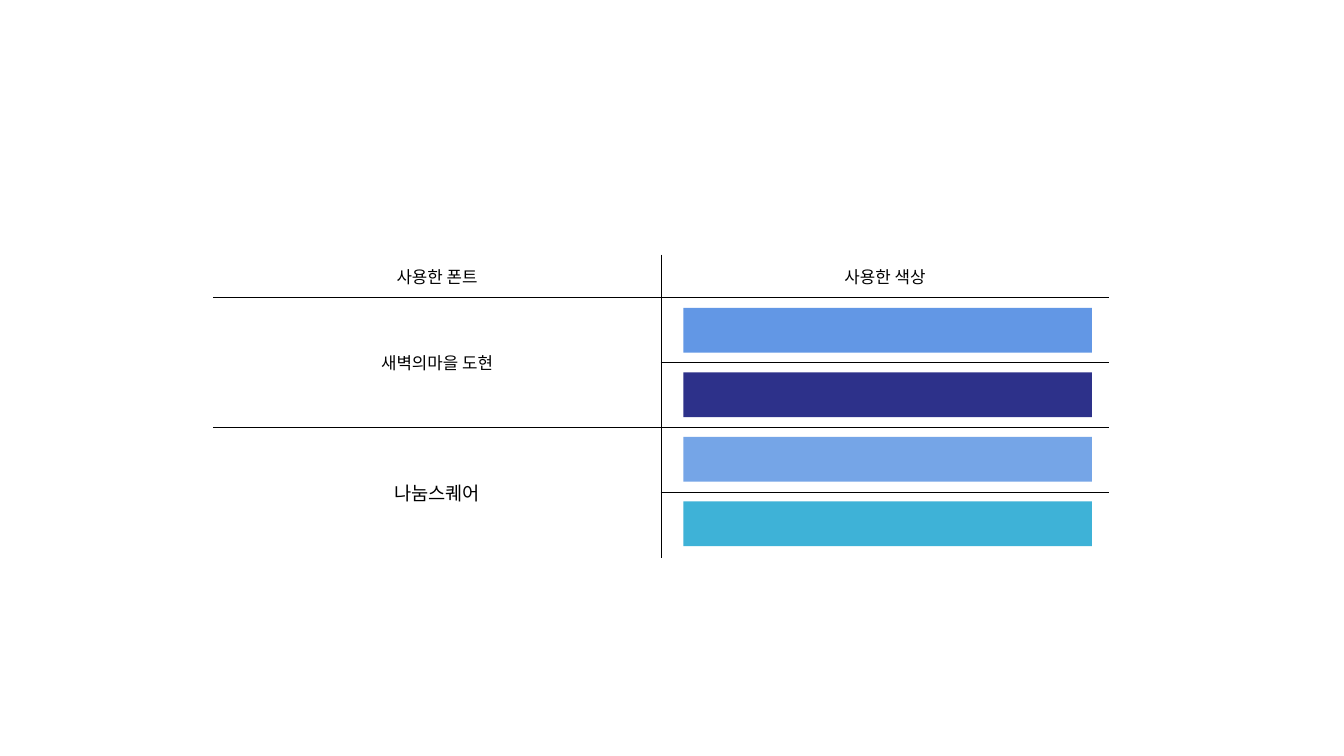
"""Build a slide with a table of the fonts and colours used."""
from lxml import etree
from pptx import Presentation, util as u
from pptx.dml.color import RGBColor
from pptx.enum import shapes, text
from pptx.oxml.ns import qn

FONT = "Noto Sans CJK KR"


def color(value):
    return RGBColor.from_string(value)


def write(cell, words, size=18, fill="000000", font=FONT):
    cell.vertical_anchor = text.MSO_ANCHOR.MIDDLE
    p = cell.text_frame.paragraphs[0]
    p.alignment = text.PP_ALIGN.CENTER
    r = p.add_run()
    r.text = words
    r.font.size = u.Pt(size)
    r.font.bold = False
    r.font.name = font
    r.font.color.rgb = color(fill)
    etree.SubElement(r.font._element, qn("a:ea"), typeface=font)


prs = Presentation()
prs.slide_width, prs.slide_height = u.Inches(20), u.Inches(11.25)
s = prs.slides.add_slide(prs.slide_layouts[6])

col, header, row = u.Inches(20 / 3), u.Inches(0.63), u.Inches(0.97)
left, top = u.Inches(3.17), u.Inches(3.79)
table = s.shapes.add_table(5, 2, left, top, 2 * col, header + 4 * row).table
table.first_row = table.horz_banding = False
for c in table.columns:
    c.width = col
for i, tr in enumerate(table.rows):
    tr.height = row if i else header

for i in range(5):
    for j in range(2):
        cell = table.cell(i, j)
        cell.fill.solid()
        cell.fill.fore_color.rgb = color("FFFFFF")
        edges = {
            "L": j == 1,
            "R": j == 0,
            "T": i > 0 and (j == 1 or i in (1, 3)),
            "B": i < 4 and (j == 1 or i in (0, 2)),
        }
        tcPr = cell._tc.get_or_add_tcPr()
        for n, (side, shown) in enumerate(edges.items()):
            ln = etree.Element(qn(f"a:ln{side}"), w=str(u.Pt(1)))
            if shown:
                paint = etree.SubElement(ln, qn("a:solidFill"))
                etree.SubElement(paint, qn("a:srgbClr"), val="000000")
            else:
                etree.SubElement(ln, qn("a:noFill"))
            tcPr.insert(n, ln)

for i in (1, 3):
    table.cell(i, 0).merge(table.cell(i + 1, 0))
write(table.cell(0, 0), "사용한 폰트")
write(table.cell(0, 1), "사용한 색상")
write(table.cell(1, 0), "새벽의마을 도현")
write(table.cell(3, 0), "나눔스퀘어", size=20)

bar_left, bar_top, pitch = u.Inches(10.17), u.Inches(4.58), u.Inches(0.96)
for i, shade in enumerate(("6297E5", "2D318A", "75A5E7", "3EB2D7")):
    sp = s.shapes.add_shape(shapes.MSO_SHAPE.RECTANGLE, bar_left,
                            bar_top + i * pitch, u.Inches(6.08), col // 10)
    sp.shadow.inherit = False
    sp.fill.solid()
    sp.fill.fore_color.rgb = color(shade)
    sp.line.fill.background()

prs.save("out.pptx")
